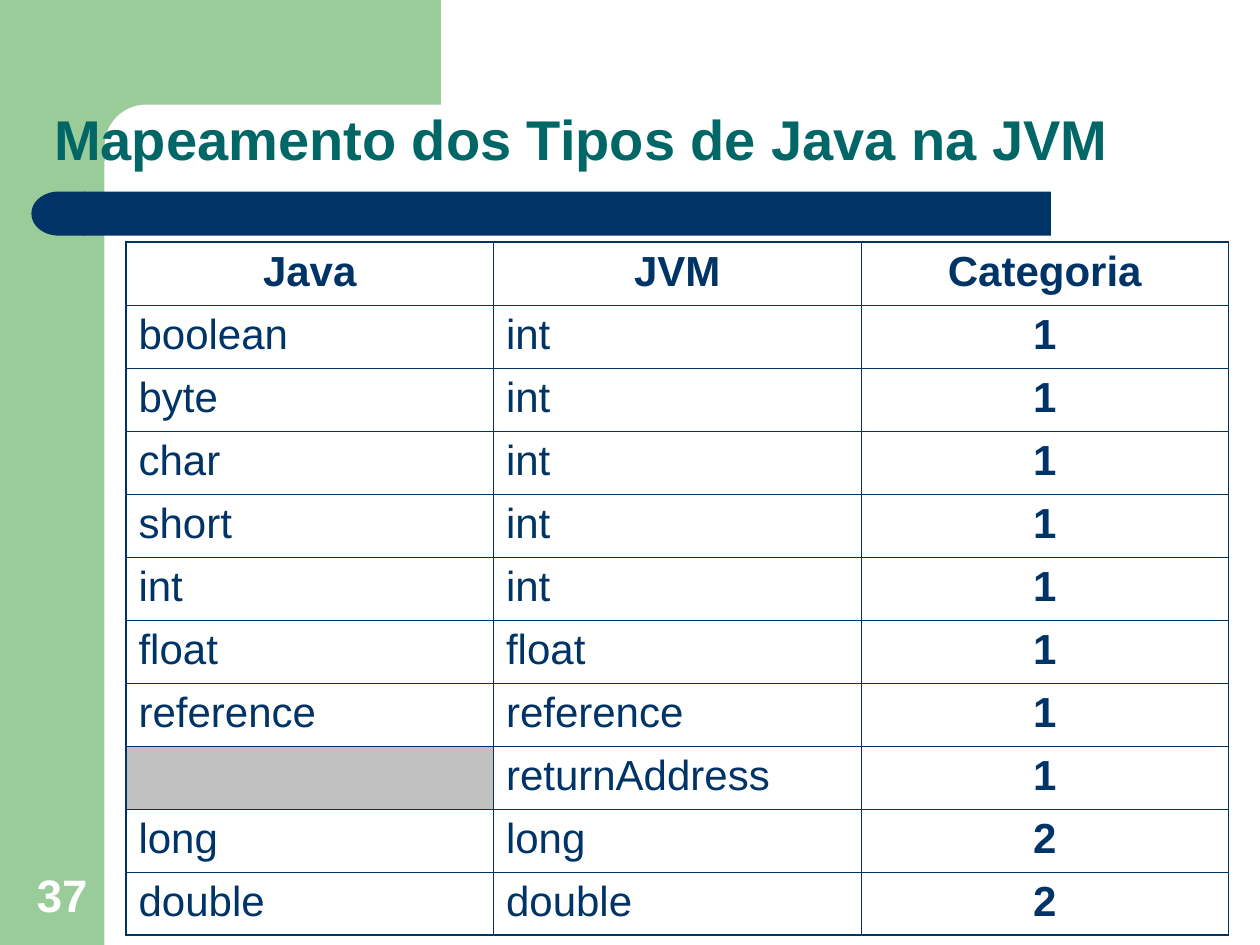
from math import cos, pi, sin

from lxml.etree import SubElement
from pptx import Presentation
from pptx.dml.color import RGBColor
from pptx.enum.shapes import MSO_SHAPE
from pptx.enum.text import MSO_ANCHOR, MSO_AUTO_SIZE, PP_ALIGN
from pptx.oxml.ns import qn
from pptx.util import Inches, Pt

TITLE = "Mapeamento dos Tipos de Java na JVM"
PAGE_NUMBER = "37"
HEADERS = ("Java", "JVM", "Categoria")
TYPES = [
    ("boolean", "int", "1"),
    ("byte", "int", "1"),
    ("char", "int", "1"),
    ("short", "int", "1"),
    ("int", "int", "1"),
    ("float", "float", "1"),
    ("reference", "reference", "1"),
    ("", "returnAddress", "1"),
    ("long", "long", "2"),
    ("double", "double", "2"),
]
COLORS = {
    "green": "99CC99",
    "navy": "003366",
    "teal": "006666",
    "gray": "C0C0C0",
    "white": "FFFFFF",
}
TITLE_FONT = {"name": "Arial", "size": Pt(32), "bold": True}
NUMBER_FONT = {"name": "Arial", "size": Pt(26), "bold": True}
CELL_FONT = {"name": "Arial", "size": Pt(24)}
TITLE_BOX = (0.33, 0.33, 9.34, 1.09)
NUMBER_BOX = (0.08, 6.83, 0.83, 0.53)
TABLE_BOX = (1, 1.92, 8.75, 5.5)
SIDEBAR_BOX = (0, 0, 0.83, 7.5)
BAR_BOX = (0.67, 1.52, 7.67, 0.35)
BAR_CAP_BOX = (0.25, 1.52, 0.43, 0.35)
CORNER_CENTER, CORNER_RADIUS, CORNER_STEPS = 1.16, 0.33, 24
OUTER_BORDER, INNER_BORDER = Pt(1.08), Pt(0.45)


def color(name):
    return RGBColor.from_string(COLORS[name])


def inches(box):
    return [Inches(length) for length in box]


def paint(shape, fill):
    shape.shadow.inherit = False
    shape.fill.solid()
    shape.fill.fore_color.rgb = color(fill)
    shape.line.fill.background()


def add_block(slide, kind, box, fill):
    shape = slide.shapes.add_shape(kind, *inches(box))
    paint(shape, fill)
    return shape


def add_corner(slide):
    angles = [pi / 2 * step / CORNER_STEPS for step in range(CORNER_STEPS + 1)]
    arc = [
        (CORNER_CENTER - CORNER_RADIUS * sin(angle), CORNER_CENTER - CORNER_RADIUS * cos(angle))
        for angle in angles
    ]
    outline = [(3.5, 0.83), *arc, (0.83, 1.28), (0.5, 1.28), (0.5, 0)]
    builder = slide.shapes.build_freeform(Inches(3.5), 0)
    builder.add_line_segments([inches(point) for point in outline], close=True)
    paint(builder.convert_to_shape(), "green")


def write(frame, text, font, font_color, alignment):
    paragraph = frame.paragraphs[0]
    paragraph.text = text
    paragraph.alignment = alignment
    for name, value in font.items():
        setattr(paragraph.font, name, value)
    paragraph.font.color.rgb = color(font_color)
    return paragraph


def format_box(frame):
    settings = {
        "word_wrap": True,
        "auto_size": MSO_AUTO_SIZE.NONE,
        "vertical_anchor": MSO_ANCHOR.BOTTOM,
    }
    for name, value in settings.items():
        setattr(frame, name, value)


def add_borders(cell, outer_sides):
    properties = cell._tc.get_or_add_tcPr()
    for side, is_outer in outer_sides.items():
        width = OUTER_BORDER if is_outer else INNER_BORDER
        line = SubElement(properties, qn(f"a:ln{side}"), w=str(int(width)))
        fill = SubElement(line, qn("a:solidFill"))
        SubElement(fill, qn("a:srgbClr"), val=COLORS["navy"])


def add_type_table(slide):
    rows = [HEADERS, *TYPES]
    last_row, last_column = len(rows) - 1, len(HEADERS) - 1
    table = slide.shapes.add_table(len(rows), len(HEADERS), *inches(TABLE_BOX)).table
    table.first_row = table.horz_banding = False
    for row, values in enumerate(rows):
        for column, value in enumerate(values):
            cell = table.cell(row, column)
            add_borders(cell, {
                "L": column == 0,
                "R": column == last_column,
                "T": row == 0,
                "B": row == last_row,
            })
            if value:
                cell.fill.background()
            else:
                cell.fill.solid()
                cell.fill.fore_color.rgb = color("gray")
            emphasized = row == 0 or column == last_column
            alignment = PP_ALIGN.CENTER if emphasized else PP_ALIGN.LEFT
            write(cell.text_frame, value, {**CELL_FONT, "bold": emphasized}, "navy", alignment)


def main():
    presentation = Presentation()
    presentation.slide_width, presentation.slide_height = Inches(10), Inches(7.5)
    slide = presentation.slides.add_slide(presentation.slide_layouts[5])

    add_block(slide, MSO_SHAPE.RECTANGLE, SIDEBAR_BOX, "green")
    add_corner(slide)
    add_block(slide, MSO_SHAPE.RECTANGLE, BAR_BOX, "navy")
    cap = add_block(slide, MSO_SHAPE.FLOWCHART_DELAY, BAR_CAP_BOX, "navy")
    cap.element.spPr.xfrm.set("flipH", "1")

    title = slide.shapes.title
    title.left, title.top, title.width, title.height = inches(TITLE_BOX)
    slide.shapes.element.append(title.element)
    format_box(title.text_frame)
    heading = write(title.text_frame, TITLE, TITLE_FONT, "teal", PP_ALIGN.LEFT)
    heading.line_spacing = 0.9

    add_type_table(slide)

    number = slide.shapes.add_textbox(*inches(NUMBER_BOX))
    format_box(number.text_frame)
    write(number.text_frame, PAGE_NUMBER, NUMBER_FONT, "white", PP_ALIGN.CENTER)

    presentation.save("out.pptx")


if __name__ == "__main__":
    main()
